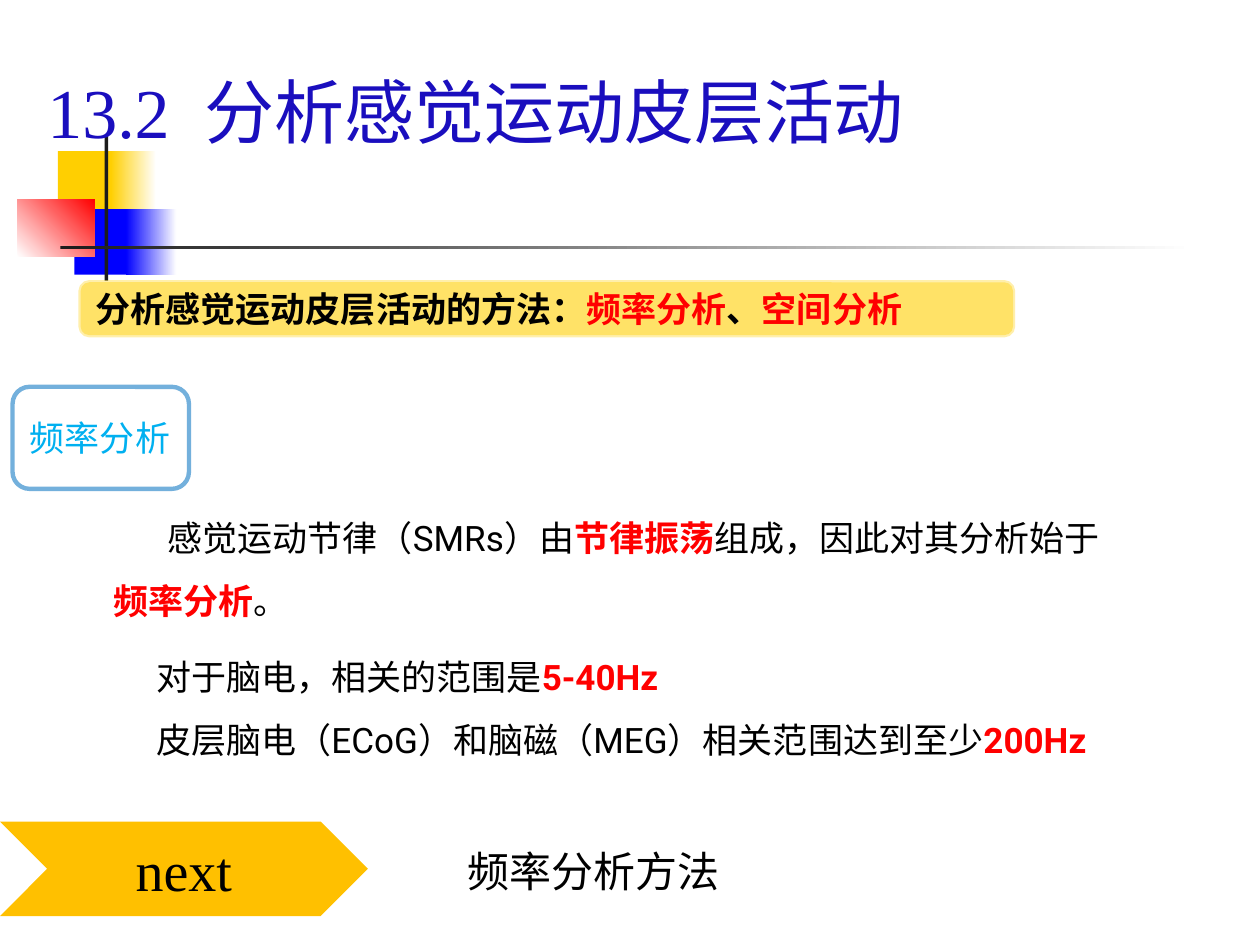
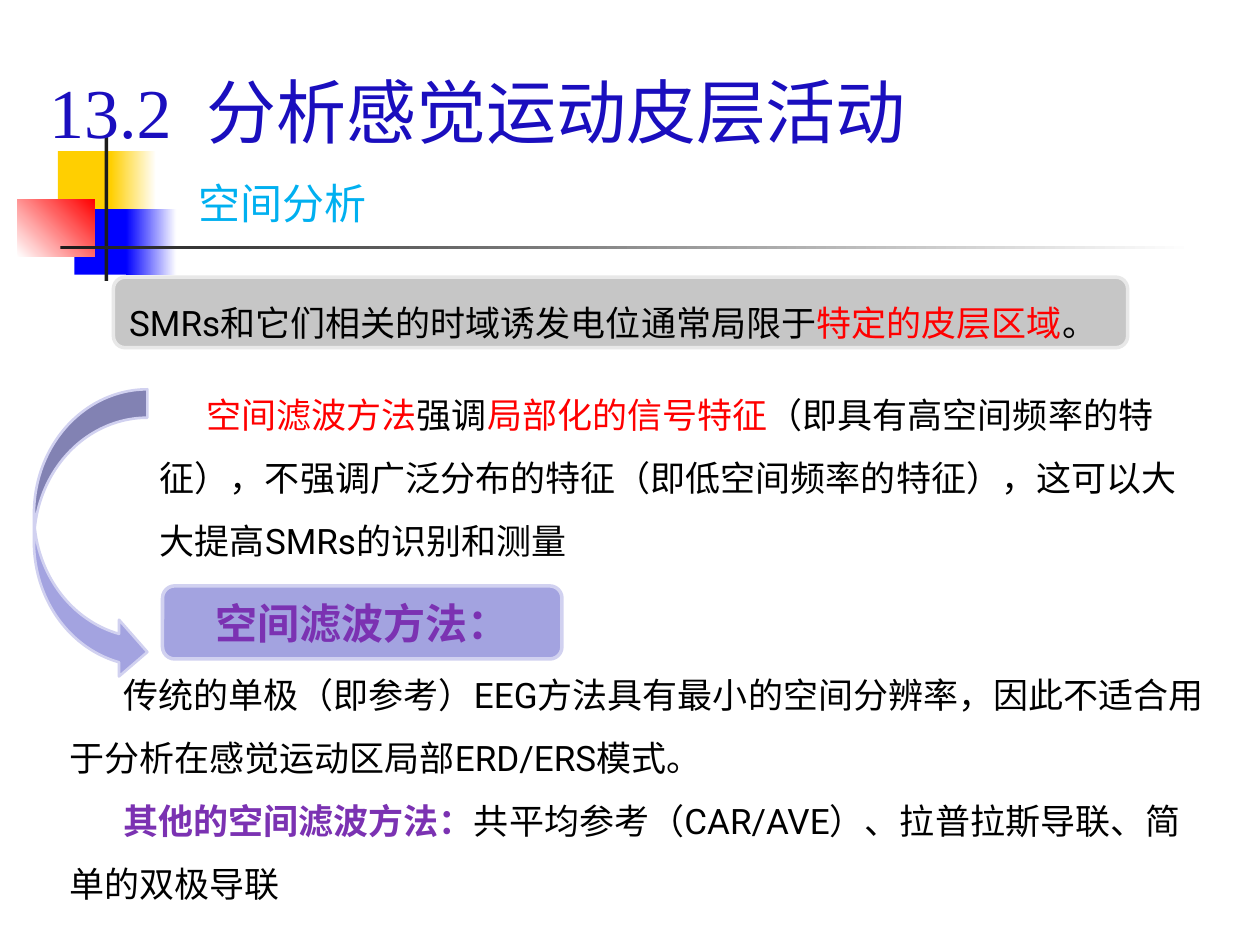
from pptx import Presentation
from pptx.dml.color import RGBColor
from pptx.enum.shapes import MSO_SHAPE
from pptx.enum.text import MSO_ANCHOR, PP_ALIGN
from pptx.oxml.ns import qn
from pptx.util import Inches, Pt
from lxml import etree

WHITE = RGBColor(0xFF, 0xFF, 0xFF)
BLACK = RGBColor(0x00, 0x00, 0x00)
INK = RGBColor(0x1C, 0x1C, 0x1C)
GOLD = RGBColor(0xFF, 0xCF, 0x01)
BLUE = RGBColor(0x00, 0x00, 0xFF)
RED = RGBColor(0xFF, 0x00, 0x00)
TITLE_BLUE = RGBColor(0x1A, 0x0E, 0xBE)
SKY = RGBColor(0x00, 0xB0, 0xF0)
OUTLINE_BLUE = RGBColor(0x00, 0x70, 0xC0)
YELLOW = RGBColor(0xFF, 0xE2, 0x67)
ORANGE = RGBColor(0xFF, 0xC0, 0x00)
GREY = RGBColor(0xC6, 0xC6, 0xC6)
PALE_GREY = RGBColor(0xE8, 0xE8, 0xE8)
LILAC = RGBColor(0xA3, 0xA3, 0xE0)
PALE_LILAC = RGBColor(0xD1, 0xD1, 0xF0)
PURPLE = RGBColor(0x7B, 0x32, 0xB2)
SERIF, SANS = "Times New Roman", "Roboto"


def block(s, kind, at, fill=None, fade_to=None, angle=0, line=None, width=2, alpha=None):
    """Add a preset shape; fade_to makes the fill a gradient, alpha is the line opacity in percent."""
    sp = s.shapes.add_shape(kind, *map(Inches, at))
    sp.shadow.inherit = False
    if fade_to is not None:
        sp.fill.gradient()
        sp.fill.gradient_angle = angle
        for stop, color in zip(sp.fill.gradient_stops, (fill, fade_to)):
            stop.color.rgb = color
    elif fill is not None:
        sp.fill.solid()
        sp.fill.fore_color.rgb = fill
    else:
        sp.fill.background()
    if line is None:
        sp.line.fill.background()
    else:
        sp.line.color.rgb = line
        sp.line.width = Pt(width)
        if alpha:
            color = sp.line._ln.find(".//" + qn("a:srgbClr"))
            etree.SubElement(color, qn("a:alpha")).set("val", str(alpha * 1000))
    return sp


def write(sp, *paragraphs, size=20, font=SANS, color=BLACK, bold=False, align=PP_ALIGN.LEFT,
          anchor=MSO_ANCHOR.MIDDLE, spacing=None, indent=0):
    """Fill sp with paragraphs, each a list of runs: (text, optional color, optional bold)."""
    tf = sp.text_frame
    tf.word_wrap = True
    tf.vertical_anchor = anchor
    for i, runs in enumerate(paragraphs):
        p = tf.add_paragraph() if i else tf.paragraphs[0]
        p.alignment = align
        if spacing:
            p.line_spacing = spacing
        if indent:
            p._p.get_or_add_pPr().set("indent", str(Inches(indent)))
        for text, *look in runs:
            r = p.add_run()
            r.text = text
            r.font.name = font
            r.font.size = Pt(size)
            r.font.color.rgb = look[0] if look else color
            r.font.bold = look[1] if len(look) > 1 else bold
    return tf


prs = Presentation()
prs.slide_width, prs.slide_height = Inches(10), Inches(7.5)

# Shared ornament and title: position, fill, gradient end, gradient angle
ORNAMENT = [
    ((0.46, 1.2, 0.48, 0.52), GOLD, None, 0),
    ((0.88, 1.2, 0.36, 0.52), GOLD, WHITE, 0),
    ((0.59, 1.66, 0.46, 0.52), BLUE, None, 0),
    ((1, 1.66, 0.4, 0.52), BLUE, WHITE, 0),
    ((0.14, 1.58, 0.61, 0.46), WHITE, RED, 45),
    ((0.83, 1.08, 0.03, 1.15), INK, None, 0),
    ((0.48, 1.95, 9, 0.03), INK, WHITE, 0),
]
slides = []
for title_width in (7.17, 7.2):
    s = prs.slides.add_slide(prs.slide_layouts[6])
    for at, fill, fade_to, angle in ORNAMENT:
        block(s, MSO_SHAPE.RECTANGLE, at, fill, fade_to, angle)
    title = s.shapes.add_textbox(*map(Inches, (0.19, 0.34, title_width, 0.92)))
    tf = write(title, [("13.2",), (" ",), ("分析感觉运动皮层活动",)], size=40, font=SERIF,
               color=TITLE_BLUE, align=PP_ALIGN.CENTER, anchor=MSO_ANCHOR.BOTTOM)
    # Widen the gap after the section number
    tf.paragraphs[0].runs[1].font._element.set("spc", "1000")
    slides.append(s)

frequency, spatial = slides
body = dict(anchor=MSO_ANCHOR.TOP, spacing=1.5)

# Slide 1: frequency analysis
rhythm = frequency.shapes.add_textbox(*map(Inches, (0.8, 3.88, 8.05, 1.11)))
write(rhythm, [("感觉运动节律（SMRs）由",), ("节律振荡", RED, True), ("组成，因此对其分析始于",),
               ("频率分析", RED, True), ("。",)], indent=0.43, **body)

ranges = frequency.shapes.add_textbox(*map(Inches, (0.64, 4.99, 8.34, 1.11)))
write(ranges,
      [("对于脑电，相关的范围是",), ("5-40Hz", RED, True)],
      [("皮层脑电（ECoG）和脑磁（MEG）相关范围达到至少",), ("200Hz", RED, True)],
      indent=0.5, **body)

topic = block(frequency, MSO_SHAPE.ROUNDED_RECTANGLE, (0.1, 3.07, 1.4, 0.81),
              line=OUTLINE_BLUE, width=2.5, alpha=55)
write(topic, [("频率分析",)], font=SERIF, color=SKY)

methods = block(frequency, MSO_SHAPE.ROUNDED_RECTANGLE, (0.64, 2.24, 7.4, 0.42), YELLOW,
                line=YELLOW, width=2.5, alpha=55)
write(methods, [("分析感觉运动皮层活动的方法：",), ("频率分析", RED, True), ("、",), ("空间分析", RED, True)],
      bold=True)

next_arrow = block(frequency, MSO_SHAPE.CHEVRON, (0, 6.52, 2.92, 0.75), ORANGE)
write(next_arrow, [("next",)], size=32, font=SERIF, align=PP_ALIGN.CENTER)

next_topic = frequency.shapes.add_textbox(*map(Inches, (3.61, 6.66, 5.25, 0.5)))
write(next_topic, [("频率分析方法",)], size=24, anchor=MSO_ANCHOR.TOP)

# Slide 2: spatial analysis
subtitle = spatial.shapes.add_textbox(*map(Inches, (1.48, 1.36, 3.96, 0.5)))
write(subtitle, [("空间分析",)], size=24, font=SERIF, color=SKY, anchor=MSO_ANCHOR.TOP)

emphasis = spatial.shapes.add_textbox(*map(Inches, (1.17, 2.91, 8.38, 1.55)))
write(emphasis, [("空间滤波方法", RED), ("强调",), ("局部化的信号特征", RED),
                 ("（即具有高空间频率的特征），不强调广泛分布的特征（即低空间频率的特征），"
                  "这可以大大提高SMRs的识别和测量",)], indent=0.37, **body)

premise = block(spatial, MSO_SHAPE.ROUNDED_RECTANGLE, (0.9, 2.2, 8.05, 0.56), GREY, line=PALE_GREY)
write(premise, [("SMRs和它们相关的时域诱发电位通常局限于",), ("特定的皮层区域", RED), ("。",)], spacing=1.5)

block(spatial, MSO_SHAPE.CURVED_RIGHT_ARROW, (0.27, 3.09, 0.9, 2.31), LILAC, line=PALE_LILAC, width=1.5)

filters = spatial.shapes.add_textbox(*map(Inches, (0.45, 5.13, 9.22, 2.12)))
write(filters,
      [("传统的单极（即参考）EEG方法具有最小的空间分辨率，因此不适合用于分析在感觉运动区局部ERD/ERS模式。",)],
      [("其他的空间滤波方法：", PURPLE, True), ("共平均参考（CAR/AVE）、拉普拉斯导联、简单的双极导联",)],
      indent=0.43, **body)

heading = block(spatial, MSO_SHAPE.ROUNDED_RECTANGLE, (1.29, 4.65, 3.17, 0.58), LILAC, line=PALE_LILAC)
write(heading, [("空间滤波方法：",)], size=24, color=PURPLE, bold=True, align=PP_ALIGN.CENTER)

prs.save("out.pptx")
